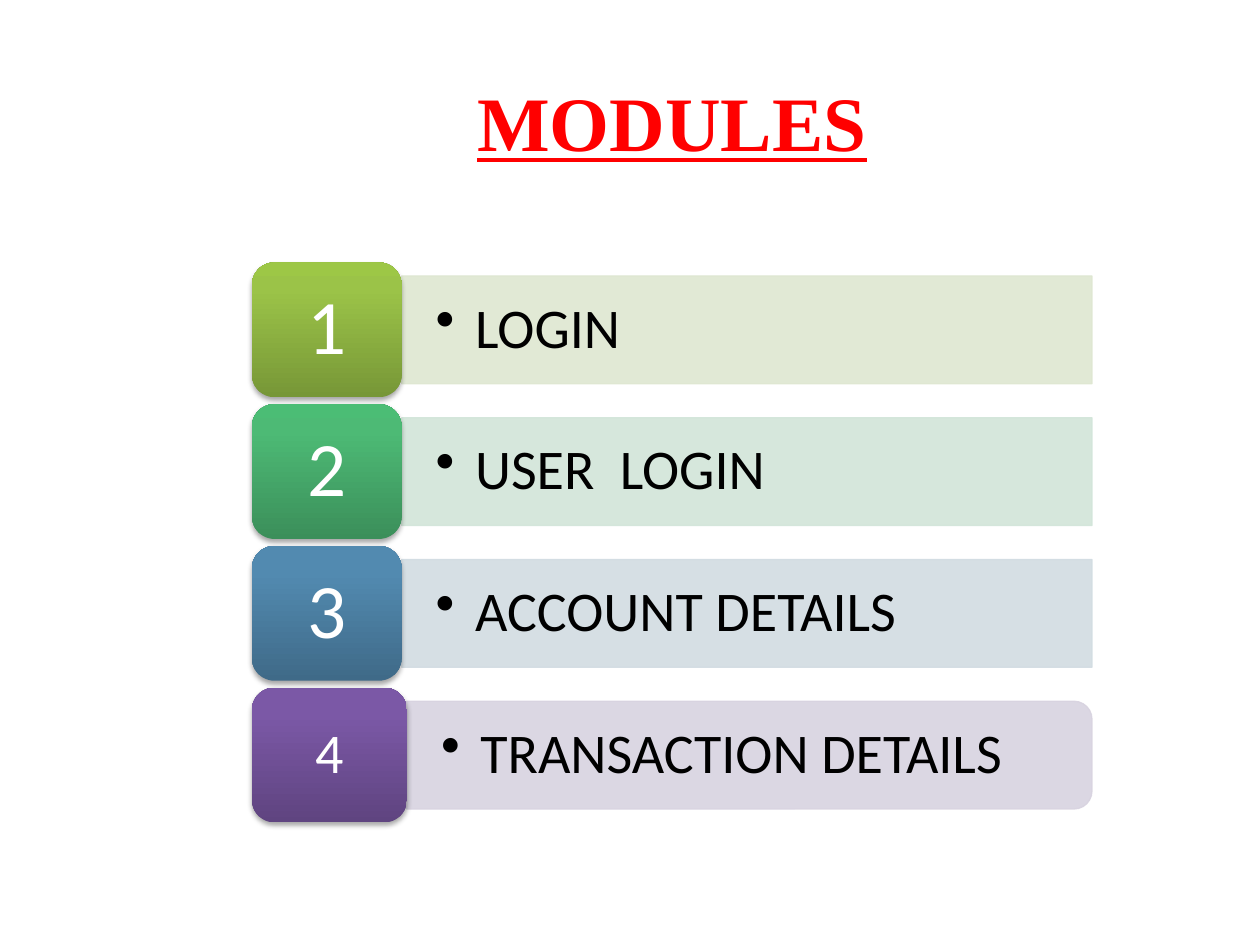
import lxml.etree
import pptx
import pptx.dml.color
import pptx.enum.shapes
import pptx.enum.text
import pptx.oxml
import pptx.oxml.ns
import pptx.util

Pt = pptx.util.Pt
SHAPES = pptx.enum.shapes.MSO_SHAPE
ALIGN = pptx.enum.text.PP_ALIGN
NAMESPACE = pptx.oxml.ns.nsdecls("a")
ROW_PITCH = 81

MODULES = [
    dict(label="LOGIN", bar="DEE7D1", stops=("779737", "9BC348", "9DC746")),
    dict(label="USER  LOGIN", bar="D2E5D9", stops=("3B8F5A", "4DBA75", "4BBD75")),
    dict(label="ACCOUNT DETAILS", bar="D2DCE2", stops=("3F6A88", "528AB0", "518BB3")),
    dict(label="TRANSACTION DETAILS", bar="D8D3E0", stops=("5F4480", "7B58A6", "7C57A8"),
         bar_shape=SHAPES.ROUND_2_SAME_RECTANGLE, badge_width=88.5, number_size=32),
]


def rgb(value):
    """Return the colour for a hex string."""
    return pptx.dml.color.RGBColor.from_string(value)


def add_xml(parent, markup):
    """Append one DrawingML element to its parent."""
    parent.append(pptx.oxml.parse_xml(markup))


def write_text(shape, text, color, align, inset=(7.2, 3.6), spacing=None, **font):
    """Put one formatted, vertically centred paragraph in a shape."""
    frame = shape.text_frame
    across, down = map(Pt, inset)
    layout = dict(word_wrap=True, vertical_anchor=pptx.enum.text.MSO_ANCHOR.MIDDLE,
                  margin_left=across, margin_right=across, margin_top=down, margin_bottom=down)
    for name, value in layout.items():
        setattr(frame, name, value)
    para = frame.paragraphs[0]
    para.alignment = align
    para.line_spacing = spacing
    span = para.add_run()
    span.text = text
    for name, value in font.items():
        setattr(span.font, name, value)
    span.font.color.rgb = rgb(color)
    return para


def add_title(page, left, top, width, height):
    """Write the underlined slide title in its box."""
    box = page.shapes.add_textbox(Pt(left), Pt(top), Pt(width), Pt(height))
    write_text(box, "MODULES", "FF0000", ALIGN.CENTER, name="Times New Roman",
               size=Pt(44), bold=True, underline=True)


def add_bar(page, left, top, width, height, kind, color):
    """Draw a translucent bar, turned so that its top side faces right."""
    bar = page.shapes.add_shape(kind, Pt(left + (width - height) / 2),
                                Pt(top + (height - width) / 2), Pt(height), Pt(width))
    bar.rotation = 90
    bar.shadow.inherit = False
    bar.line.width = Pt(0.75)
    for fill in (bar.fill, bar.line.fill):
        fill.solid()
        fill.fore_color.rgb = rgb(color)
    for tint in bar._element.spPr.iter(pptx.oxml.ns.qn("a:srgbClr")):
        add_xml(tint, f'<a:alpha {NAMESPACE} val="90000"/>')


def add_label(page, left, top, width, height, text):
    """Write a bulleted module name in its box."""
    box = page.shapes.add_textbox(Pt(left), Pt(top), Pt(width), Pt(height))
    para = write_text(box, text, "000000", ALIGN.LEFT, inset=(19.5, 10), spacing=0.9,
                      name="Calibri", size=Pt(32))
    properties = para._p.get_or_add_pPr()
    properties.set("marL", str(Pt(22.5)))
    properties.set("indent", str(Pt(-22.5)))
    add_xml(properties, f'<a:buChar {NAMESPACE} char="•"/>')


def add_badge(page, left, top, width, height, number, size, stops):
    """Draw a numbered rounded badge with a gradient and a soft shadow."""
    badge = page.shapes.add_shape(SHAPES.ROUNDED_RECTANGLE, Pt(left), Pt(top), Pt(width), Pt(height))
    marks = "".join(f'<a:gs pos="{position}"><a:srgbClr val="{color}"/></a:gs>'
                    for position, color in zip((0, 80000, 100000), stops))
    properties = badge._element.spPr
    add_xml(properties, f'<a:gradFill {NAMESPACE} rotWithShape="1"><a:gsLst>{marks}</a:gsLst>'
                        '<a:lin ang="16200000" scaled="0"/></a:gradFill>')
    badge.line.fill.background()
    badge.shadow.inherit = False
    add_xml(properties.find(pptx.oxml.ns.qn("a:effectLst")),
            f'<a:outerShdw {NAMESPACE} blurRad="{Pt(3.1)}" dist="{Pt(1.8)}" dir="5400000" '
            'rotWithShape="0"><a:srgbClr val="000000"><a:alpha val="35000"/></a:srgbClr></a:outerShdw>')
    write_text(badge, str(number), "FFFFFF", ALIGN.CENTER, spacing=0.9,
               name="Calibri", size=Pt(size))


def add_module(page, left, top, width, height, number, label, bar, stops,
               bar_shape=SHAPES.RECTANGLE, badge_width=85.5, number_size=44):
    """Draw one module row: a bar, its label and its badge."""
    margin = 7.7
    bar_box = (left + badge_width, top + margin, width - badge_width, height - 2 * margin)
    add_bar(page, *bar_box, bar_shape, bar)
    add_label(page, *bar_box, label)
    add_badge(page, left, top, badge_width, height, number, number_size, stops)


def main():
    """Build the slide and save the deck."""
    deck = pptx.Presentation()
    deck.slide_width, deck.slide_height = Pt(720), Pt(540)
    page = deck.slides.add_slide(deck.slide_layouts[6])
    for index, module in enumerate(MODULES):
        add_module(page, 144, 150 + index * ROW_PITCH, 480, 77, index + 1, **module)
    add_title(page, 66, 24, 636, 90)
    deck.save("out.pptx")


if __name__ == "__main__":
    main()
